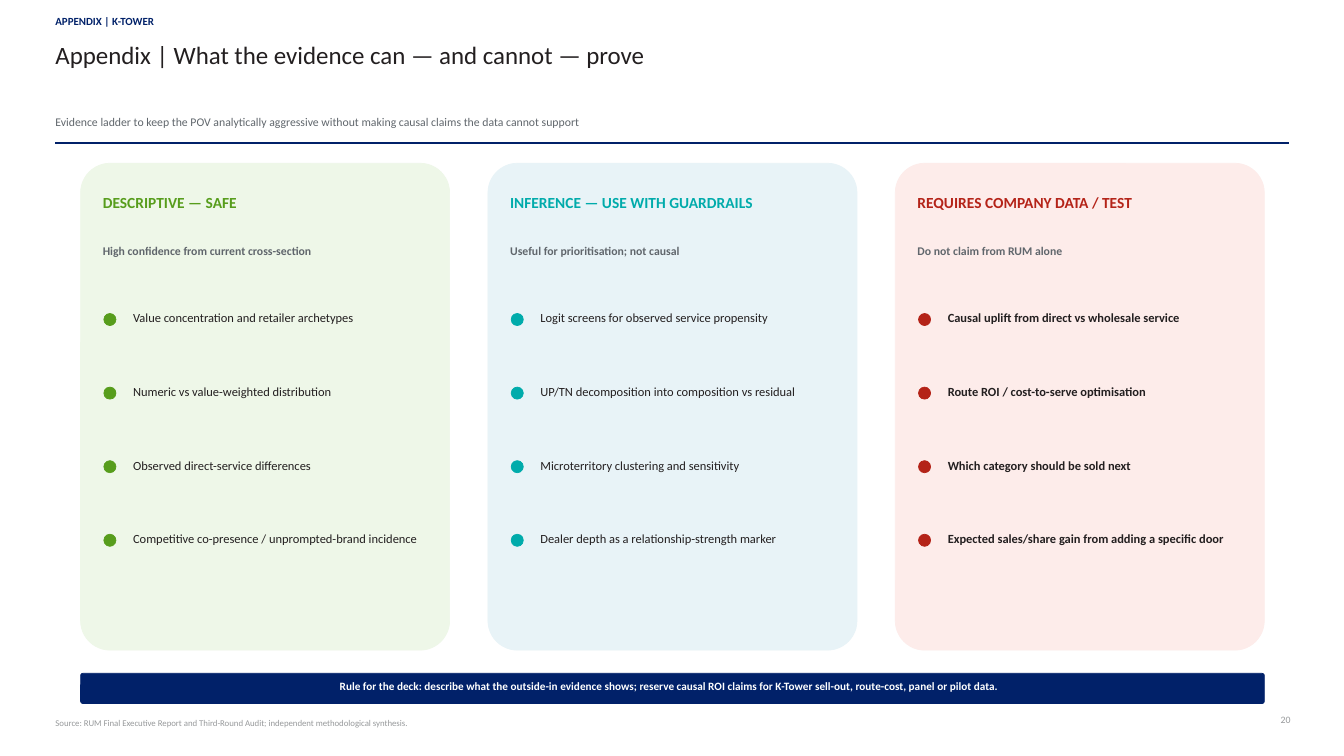
import pptx
import pptx.util
import pptx.dml.color
import pptx.enum.shapes
import pptx.enum.text
import pptx.oxml.ns
import lxml.etree

EMU_PER_PX = 9144
NAVY, INK, SLATE, GREY = "012169", "231F20", "60666C", "97999B"
SHAPES = pptx.enum.shapes.MSO_SHAPE
ALIGN = pptx.enum.text.PP_ALIGN

EVIDENCE_TIERS = [
    dict(heading="DESCRIPTIVE — SAFE",
         confidence="High confidence from current cross-section",
         tint="EEF7E8", accent="579D1C", bold_claims=False,
         claims=["Value concentration and retailer archetypes",
                 "Numeric vs value-weighted distribution",
                 "Observed direct-service differences",
                 "Competitive co-presence / unprompted-brand incidence"]),
    dict(heading="INFERENCE — USE WITH GUARDRAILS",
         confidence="Useful for prioritisation; not causal",
         tint="E8F3F7", accent="00ABAB", bold_claims=False,
         claims=["Logit screens for observed service propensity",
                 "UP/TN decomposition into composition vs residual",
                 "Microterritory clustering and sensitivity",
                 "Dealer depth as a relationship-strength marker"]),
    dict(heading="REQUIRES COMPANY DATA / TEST",
         confidence="Do not claim from RUM alone",
         tint="FDECEA", accent="B42318", bold_claims=True,
         claims=["Causal uplift from direct vs wholesale service",
                 "Route ROI / cost-to-serve optimisation",
                 "Which category should be sold next",
                 "Expected sales/share gain from adding a specific door"]),
]


def px(length):
    return pptx.util.Emu(length * EMU_PER_PX)


def color(hex_string):
    return pptx.dml.color.RGBColor.from_string(hex_string)


def add_text(slide, text, left, top, width, height, size, ink, bold=False, align=ALIGN.LEFT):
    frame = slide.shapes.add_textbox(px(left), px(top), px(width), px(height)).text_frame
    frame.margin_left = frame.margin_top = frame.margin_right = frame.margin_bottom = 0
    frame.word_wrap = True
    frame.auto_size = pptx.enum.text.MSO_AUTO_SIZE.SHAPE_TO_FIT_TEXT
    paragraph = frame.paragraphs[0]
    paragraph.alignment = align
    run = paragraph.add_run()
    run.text = text
    run.font.name = "Calibri"
    run.font.size = pptx.util.Pt(size)
    run.font.bold = bold
    run.font.color.rgb = color(ink)


def add_filled(slide, preset, left, top, width, height, fill):
    shape = slide.shapes.add_shape(preset, px(left), px(top), px(width), px(height))
    shape.shadow.inherit = False
    shape.fill.solid()
    shape.fill.fore_color.rgb = color(fill)
    shape.line.color.rgb = color(fill)
    shape.line.width = pptx.util.Pt(0.5)
    if preset == SHAPES.ROUNDED_RECTANGLE:
        shape.adjustments[0] = 0.08


def add_header(slide, left, top, width):
    add_text(slide, "APPENDIX | K-TOWER", left, top, 890, 20, size=7.8, ink=NAVY, bold=True)
    add_text(slide, "Appendix | What the evidence can — and cannot — prove",
             left, top + 25, 1095, 70, size=17.8, ink=INK)
    add_text(slide, "Evidence ladder to keep the POV analytically aggressive "
             "without making causal claims the data cannot support",
             left, top + 100, 1195, 23, size=8.4, ink=SLATE)
    rule = slide.shapes.add_connector(
        pptx.enum.shapes.MSO_CONNECTOR.STRAIGHT,
        px(left), px(top + 128), px(left + width), px(top + 128))
    rule.line.color.rgb = color(NAVY)
    rule.line.width = pptx.util.Pt(1.2)
    properties = rule._element.find(pptx.oxml.ns.qn("p:spPr"))
    lxml.etree.SubElement(properties, pptx.oxml.ns.qn("a:effectLst"))


def add_evidence_card(slide, tier, left, top, width, height):
    add_filled(slide, SHAPES.ROUNDED_RECTANGLE, left, top, width, height, tier["tint"])
    add_text(slide, tier["heading"], left + 22, top + 30, width - 46, 44,
             size=11, ink=tier["accent"], bold=True)
    add_text(slide, tier["confidence"], left + 22, top + 80, width - 46, 38,
             size=8.4, ink=SLATE, bold=True)
    for row, claim in enumerate(tier["claims"]):
        claim_top = top + 146 + row * 73
        add_filled(slide, SHAPES.OVAL, left + 23, claim_top + 3, 12, 12, tier["accent"])
        add_text(slide, claim, left + 52, claim_top, width - 81, 46,
                 size=8.9, ink=INK, bold=tier["bold_claims"])


def add_deck_rule(slide, left, top, width, height):
    add_filled(slide, SHAPES.ROUNDED_RECTANGLE, left, top, width, height, NAVY)
    add_text(slide, "Rule for the deck: describe what the outside-in evidence shows; "
             "reserve causal ROI claims for K-Tower sell-out, route-cost, panel or pilot data.",
             left + 24, top + 6, width - 54, 17,
             size=8, ink="FFFFFF", bold=True, align=ALIGN.CENTER)


def add_footer(slide, left, top, width):
    add_text(slide, "Source: RUM Final Executive Report and Third-Round Audit; "
             "independent methodological synthesis.",
             left, top + 4, 1170, 22, size=6.3, ink=GREY)
    add_text(slide, "20", left + width - 30, top, 30, 20, size=7, ink=GREY, align=ALIGN.RIGHT)


def main():
    deck = pptx.Presentation()
    deck.slide_width, deck.slide_height = px(1333), px(750)
    slide = deck.slides.add_slide(deck.slide_layouts[6])
    add_header(slide, 55, 14, 1223)
    for column, tier in enumerate(EVIDENCE_TIERS):
        add_evidence_card(slide, tier, 80 + column * 404, 162, 366, 483)
    add_deck_rule(slide, 80, 668, 1174, 30)
    add_footer(slide, 55, 708, 1225)
    deck.save("out.pptx")


if __name__ == "__main__":
    main()
